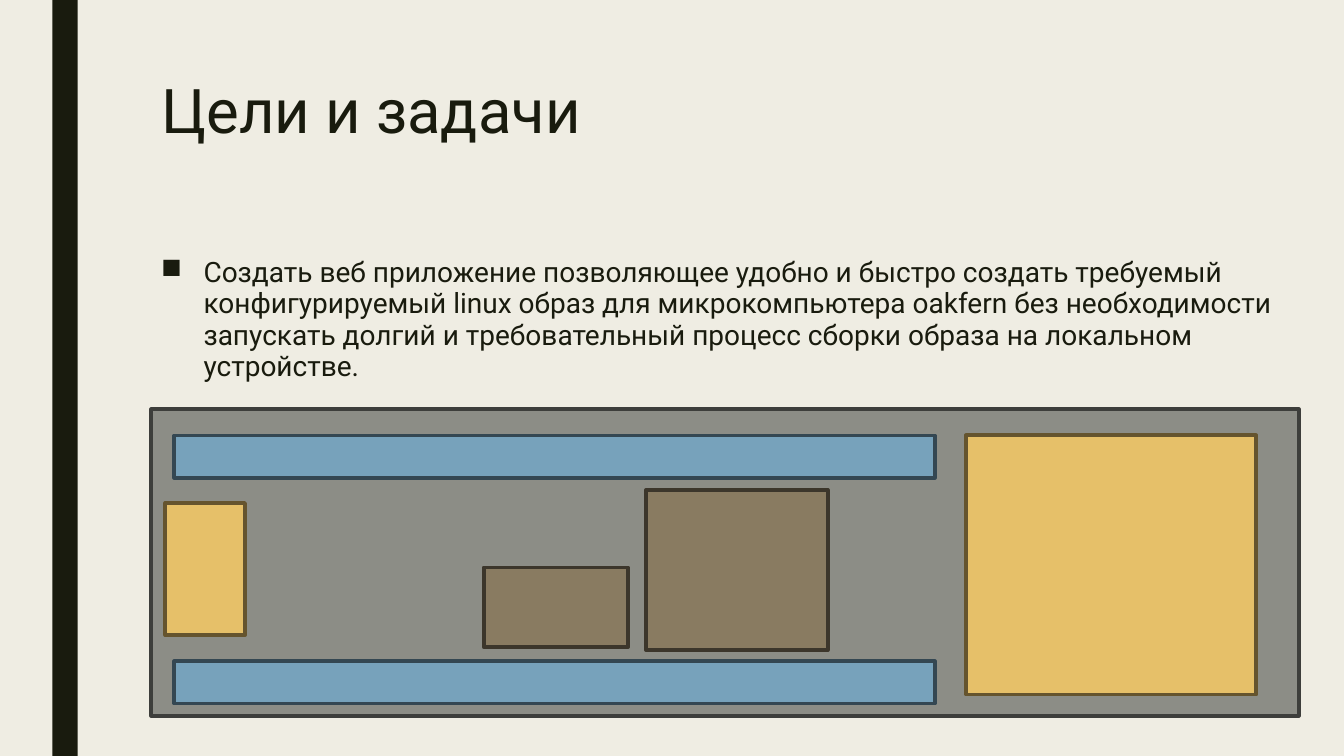
from lxml import etree
from pptx import Presentation
from pptx.dml.color import RGBColor
from pptx.enum import shapes, text
from pptx.oxml import ns
from pptx.util import Inches, Pt

INK = "191B0E"
GREY, GOLD, BROWN, BLUE = (
    ("8C8D86", "3D3E3B"), ("E6C069", "65542E"), ("897B61", "3C362B"), ("77A2BB", "344752"))


def paint(color_format, color):
    color_format.rgb = RGBColor.from_string(color)


def write(box, words, size, spacing, bullet=None, indent=0):
    frame = box.text_frame
    frame.word_wrap = True
    frame.auto_size = text.MSO_AUTO_SIZE.NONE
    frame.vertical_anchor = text.MSO_ANCHOR.TOP
    para = frame.paragraphs[0]
    para.alignment = text.PP_ALIGN.LEFT
    para.line_spacing = spacing
    if bullet:
        props = para._p.get_or_add_pPr()
        props.set("marL", str(Inches(indent)))
        props.set("indent", str(-Inches(indent)))
        etree.SubElement(props, ns.qn("a:buChar")).set("char", bullet)
    span = para.add_run()
    span.text = words
    span.font.name = "Roboto"
    span.font.size = Pt(size)
    paint(span.font.color, INK)


deck = Presentation()
deck.slide_width, deck.slide_height = Inches(13.33), Inches(7.5)
page = deck.slides.add_slide(deck.slide_layouts[5])

# Background and side stripe
page.background.fill.solid()
paint(page.background.fill.fore_color, "EFEDE3")
stripe = page.shapes.add_shape(
    shapes.MSO_SHAPE.RECTANGLE, Inches(0.52), 0, Inches(0.25), deck.slide_height)
stripe.shadow.inherit = False
stripe.fill.solid()
paint(stripe.fill.fore_color, INK)
stripe.line.fill.background()

# Title
title = page.shapes.title
title.left, title.top = Inches(1.5), Inches(0.75)
title.width, title.height = Inches(10.5), Inches(1.62)
write(title, "Цели и задачи", 44, 0.89)

# Goal
goal = page.shapes.add_textbox(Inches(1.5), Inches(2.5), Inches(11.38), Inches(1.5))
write(goal, "Создать веб приложение позволяющее удобно и быстро создать требуемый "
      "конфигурируемый linux образ для микрокомпьютера oakfern без необходимости "
      "запускать долгий и требовательный процесс сборки образа на локальном устройстве.",
      20, 0.94, bullet="■", indent=0.42)

# Board with its parts, from back to front: left, top, width, height, colours
board_parts = [
    (1.5, 4.06, 11.38, 3.04, GREY),    # board
    (9.58, 4.32, 2.88, 2.57, GOLD),    # large connector
    (6.41, 4.86, 1.8, 1.59, BROWN),    # large chip
    (1.73, 4.32, 7.54, 0.42, BLUE),    # upper pin row
    (1.73, 6.56, 7.54, 0.42, BLUE),    # lower pin row
    (4.8, 5.63, 1.43, 0.79, BROWN),    # small chip
    (1.64, 4.99, 0.79, 1.31, GOLD),    # small connector
]
for *place, (fill, edge) in board_parts:
    part = page.shapes.add_shape(shapes.MSO_SHAPE.RECTANGLE, *map(Inches, place))
    part.shadow.inherit = False
    part.fill.solid()
    paint(part.fill.fore_color, fill)
    paint(part.line.color, edge)
    part.line.width = Pt(2.75)

deck.save("out.pptx")
